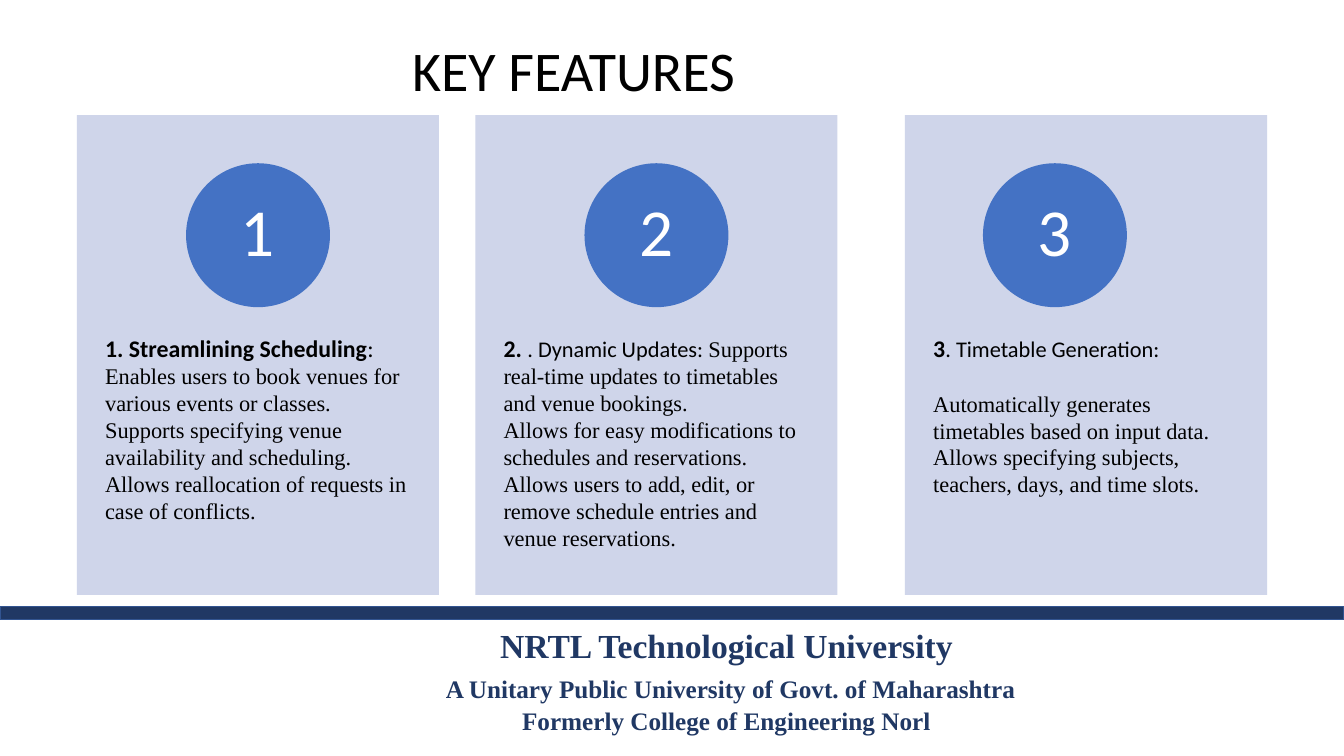
from pptx import Presentation
from pptx.dml.color import RGBColor
from pptx.enum.shapes import MSO_SHAPE
from pptx.enum.text import MSO_ANCHOR, PP_ALIGN
from pptx.util import Pt

NAVY = RGBColor(0x20, 0x38, 0x64)
BAR_EDGE = RGBColor(0x32, 0x54, 0x90)
BLUE = RGBColor(0x44, 0x72, 0xC4)
PALE_BLUE = RGBColor(0xCF, 0xD5, 0xEA)
BLACK = RGBColor(0, 0, 0)
WHITE = RGBColor(0xFF, 0xFF, 0xFF)
SANS, SERIF = "Calibri", "Times New Roman"

SLIDE_WIDTH, SLIDE_HEIGHT = 960, 540
CARD_TOP, CARD_WIDTH, CARD_HEIGHT = 82.3, 258.7, 342.7
CIRCLE_TOP, CIRCLE_SIZE = 34.3, 102.8
CIRCLE_LEFT, CIRCLE_PITCH = 132.9, 284.6
BODY_TOP, BODY_INSET = 140, 20.2
BLANK_LINE = 19.5

# Each card: left edge, then paragraphs as (space before, runs),
# where a run is (text, font, size, bold).
CARDS = [
    (54.9, [
        (0, [("1. Streamlining Scheduling", SANS, 17, True),
             (": ", SANS, 17, False),
             ("Enables users to book venues for various events or classes.", SERIF, 16, False)]),
        (0, [("Supports specifying venue availability and scheduling.", SERIF, 16, False)]),
        (0, [("Allows reallocation of requests in case of conflicts.", SERIF, 16, False)]),
    ]),
    (339.5, [
        (0, [("2. ", SANS, 17, True),
             (". Dynamic Updates: ", SANS, 16, False),
             ("Supports real-time updates to timetables and venue bookings.", SERIF, 16, False)]),
        (0, [("Allows for easy modifications to schedules and reservations.", SERIF, 16, False)]),
        (0, [("Allows users to add, edit, or remove schedule entries and venue reservations.",
              SERIF, 16, False)]),
    ]),
    (646.4, [
        (0, [("3", SANS, 17, True),
             (". Timetable Generation:", SANS, 16, False)]),
        (BLANK_LINE, [("Automatically generates timetables based on input data.",
                       SERIF, 16, False)]),
        (0, [("Allows specifying subjects, teachers, days, and time slots.", SERIF, 16, False)]),
    ]),
]

# Text, size, space before, space after, left indent
FOOTER_LINES = [
    ("NRTL Technological University", 24, 0, 0, 0),
    ("A Unitary Public University of Govt. of Maharashtra", 18, 5.5, 1.5, 6),
    ("Formerly College of Engineering Norl", 18, 0, 0, 0),
]


def style_font(font, name, size, color, bold=False):
    font.name = name
    font.size = Pt(size)
    font.color.rgb = color
    font.bold = bold


def add_filled_shape(slide, kind, left, top, width, height, color):
    shape = slide.shapes.add_shape(kind, Pt(left), Pt(top), Pt(width), Pt(height))
    shape.shadow.inherit = False
    shape.fill.solid()
    shape.fill.fore_color.rgb = color
    shape.line.fill.background()
    return shape


def add_text_box(slide, left, top, width, height):
    """Add a wrapping text box and return its text frame."""
    box = slide.shapes.add_textbox(Pt(left), Pt(top), Pt(width), Pt(height))
    box.text_frame.word_wrap = True
    return box.text_frame


def add_title(slide, left, top, width, height):
    frame = add_text_box(slide, left, top, width, height)
    frame.text = "KEY FEATURES"
    style_font(frame.paragraphs[0].runs[0].font, SANS, 40, BLACK)


def add_card(slide, left, top, width, height, paragraphs):
    add_filled_shape(slide, MSO_SHAPE.RECTANGLE, left, top, width, height, PALE_BLUE)
    frame = add_text_box(slide, left, top + BODY_TOP, width, height - BODY_TOP)
    frame.margin_left = frame.margin_right = Pt(BODY_INSET)
    frame.margin_top = Pt(16.2)
    for index, (space_before, runs) in enumerate(paragraphs):
        paragraph = frame.add_paragraph() if index else frame.paragraphs[0]
        paragraph.space_before = Pt(space_before)
        for text, name, size, bold in runs:
            run = paragraph.add_run()
            run.text = text
            style_font(run.font, name, size, BLACK, bold)


def add_number_circle(slide, left, top, size, number):
    circle = add_filled_shape(slide, MSO_SHAPE.OVAL, left, top, size, size, BLUE)
    frame = circle.text_frame
    frame.margin_top = frame.margin_bottom = Pt(1)
    frame.vertical_anchor = MSO_ANCHOR.MIDDLE
    frame.text = str(number)
    paragraph = frame.paragraphs[0]
    paragraph.alignment = PP_ALIGN.CENTER
    paragraph.line_spacing = 0.9
    style_font(paragraph.runs[0].font, SANS, 48, WHITE)


def add_footer(slide, left, top, width):
    bar = add_filled_shape(slide, MSO_SHAPE.RECTANGLE, left, top, width, 9.2, NAVY)
    bar.line.color.rgb = BAR_EDGE
    bar.line.width = Pt(1)
    frame = add_text_box(slide, left + 154.6, top + 9.4, 728.6, 86.4)
    frame.text = "\n".join(line[0] for line in FOOTER_LINES)
    for paragraph, (_, size, before, after, indent) in zip(frame.paragraphs, FOOTER_LINES):
        paragraph.alignment = PP_ALIGN.CENTER
        paragraph.space_before = Pt(before)
        paragraph.space_after = Pt(after)
        paragraph._p.get_or_add_pPr().set("marL", str(Pt(indent)))
        style_font(paragraph.runs[0].font, SERIF, size, NAVY, True)


def main():
    presentation = Presentation()
    presentation.slide_width = Pt(SLIDE_WIDTH)
    presentation.slide_height = Pt(SLIDE_HEIGHT)
    slide = presentation.slides.add_slide(presentation.slide_layouts[6])
    add_footer(slide, 0, 433.4, SLIDE_WIDTH)
    for index, (left, paragraphs) in enumerate(CARDS):
        add_card(slide, left, CARD_TOP, CARD_WIDTH, CARD_HEIGHT, paragraphs)
        add_number_circle(slide, CIRCLE_LEFT + index * CIRCLE_PITCH,
                          CARD_TOP + CIRCLE_TOP, CIRCLE_SIZE, index + 1)
    add_title(slide, 287.3, 21.6, 341.3, 57)
    presentation.save("out.pptx")


if __name__ == "__main__":
    main()
